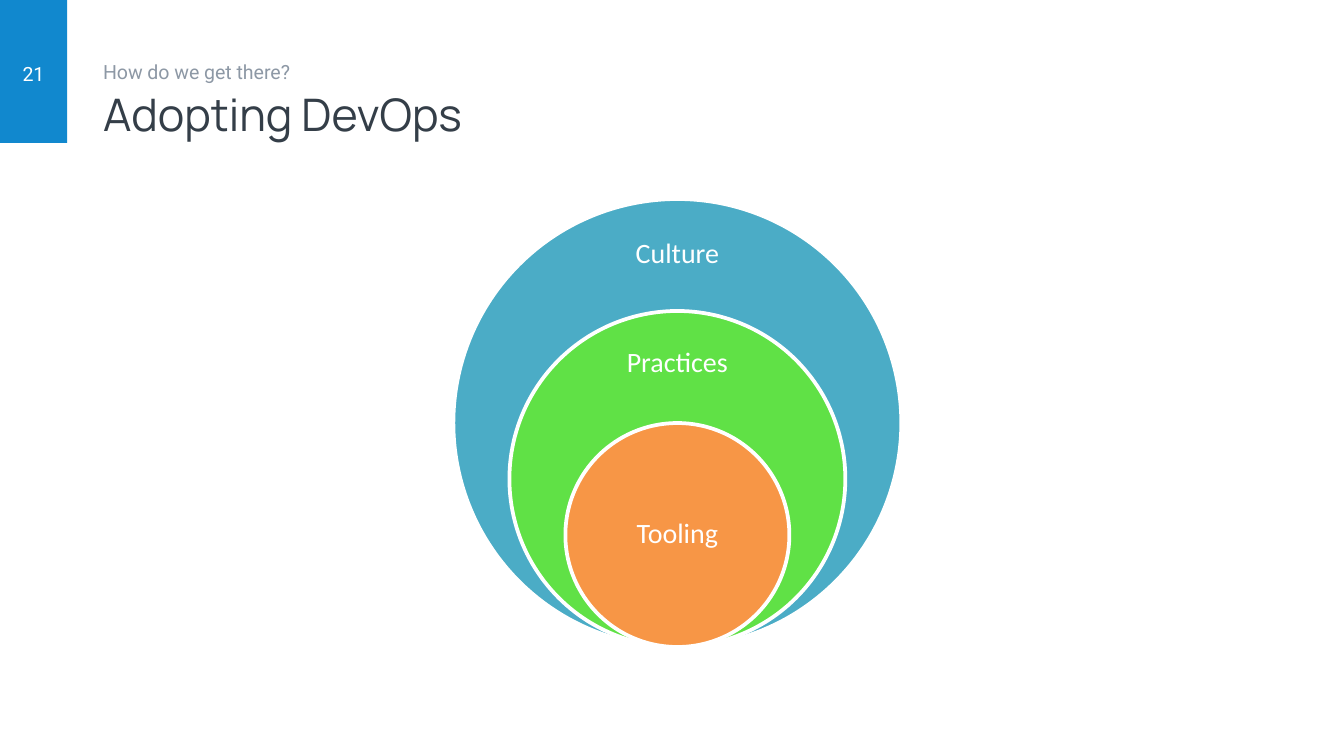
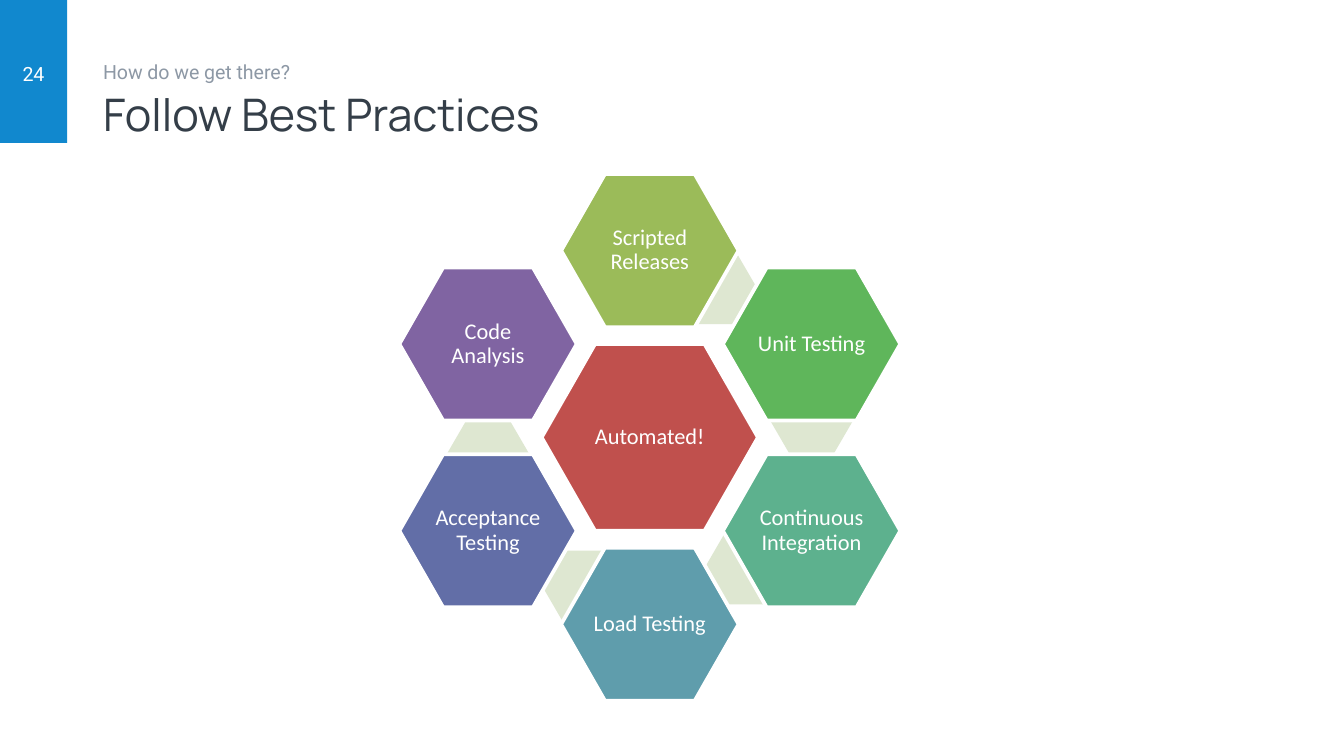
from dataclasses import dataclass
from math import cos, radians, sin

from pptx import Presentation
from pptx.dml.color import RGBColor
from pptx.enum.shapes import MSO_SHAPE
from pptx.enum.text import MSO_ANCHOR, MSO_AUTO_SIZE, PP_ALIGN
from pptx.util import Inches, Pt


@dataclass(frozen=True)
class Theme:
    band: str = "1188CE"
    title: str = "343E48"
    subtitle: str = "8D98A5"
    white: str = "FFFFFF"
    joint: str = "DEE7D1"
    hub: str = "C0504D"
    title_font: str = "Manrope"
    body_font: str = "Roboto"
    label_font: str = "Calibri"
    title_size: float = 24
    small_size: float = 10.5
    circle_size: float = 15
    hexagon_size: float = 12


T = Theme()
prs = Presentation()
prs.slide_width = Inches(10)
prs.slide_height = prs.slide_width * 9 // 16
U = prs.slide_width / 100  # all lengths are hundredths of the slide width


def draw(s, kind, cx, cy, w, h, fill, outlined=True):
    """Add a filled preset shape centred on (cx, cy)."""
    sp = s.shapes.add_shape(kind, *(round(v * U) for v in (cx - w / 2, cy - h / 2, w, h)))
    sp.shadow.inherit = False
    sp.fill.solid()
    sp.fill.fore_color.rgb = RGBColor.from_string(fill)
    if outlined:
        sp.line.color.rgb = RGBColor.from_string(T.white)
        sp.line.width = Pt(2)
    else:
        sp.line.fill.background()
    return sp


def write(sp, text, font, size, color, align=PP_ALIGN.CENTER, anchor=MSO_ANCHOR.MIDDLE, spacing=1.0):
    tf = sp.text_frame
    tf.text = text
    tf.word_wrap = True
    tf.auto_size = MSO_AUTO_SIZE.NONE
    tf.vertical_anchor = anchor
    p = tf.paragraphs[0]
    p.alignment = align
    p.line_spacing = spacing
    p.space_before = Pt(0)
    f = p.runs[0].font
    f.name, f.size, f.bold = font, Pt(size), False
    f.color.rgb = RGBColor.from_string(color)
    return tf


# Shared frame: band on the layout, then title, subtitle and number on each slide
layout = prs.slide_layouts.get_by_name("Section Header")
slides = []
for number, title in ((21, "Adopting DevOps"), (24, "Follow Best Practices")):
    s = prs.slides.add_slide(layout)
    slides.append(s)
    heading, subtitle = s.placeholders
    number_box = s.shapes.add_textbox(0, 0, 0, 0)
    for sp, box in ((heading, (6.67, 3.75, 83.3, 9.4)),
                    (subtitle, (6.67, 3.95, 55, 3.5)),
                    (number_box, (0, 4, 5, 3))):
        sp.left, sp.top, sp.width, sp.height = (round(v * U) for v in box)
    tf = write(heading, title, T.title_font, T.title_size, T.title, PP_ALIGN.LEFT)
    tf.paragraphs[0].runs[0].font._element.set("cap", "none")
    write(subtitle, "How do we get there?", T.body_font, T.small_size, T.subtitle,
          PP_ALIGN.LEFT, MSO_ANCHOR.TOP)
    write(number_box, str(number), T.body_font, T.small_size, T.white)

adopting, practices = slides
band = draw(adopting, MSO_SHAPE.RECTANGLE, 2.5, 5.32, 5, 10.64, T.band, outlined=False)
layout.shapes.element.append(band.element)

# Nested circles resting on a common bottom point
circle_x, circle_bottom, outer = 50.4, 48.14, 33.33
circles = (("Culture", "4BACC6", 18.95), ("Practices", "60E146", 27.05), ("Tooling", "F79646", 39.8))
for i, (label, color, label_y) in enumerate(circles):
    d = outer * (1 - i / 4)
    draw(adopting, MSO_SHAPE.OVAL, circle_x, circle_bottom - d / 2, d, d, color)
    box = (circle_x - 5.9, label_y - 2.5, 11.8, 5)
    sp = adopting.shapes.add_textbox(*(round(v * U) for v in box))
    write(sp, label, T.label_font, T.circle_size, T.white, spacing=0.9)

# Ring of hexagons around a hub, clockwise from the top, joined by pale hexagons
hub_x, hub_y, ring, joint_reach = 48.35, 32.55, 13.9, 5.75
hexagons = [("Automated!", T.hub, hub_x, hub_y, 16.1, 13.9, None)]
ring_labels = (
    ("Scripted Releases", "9BBB59"),
    ("Unit Testing", "5FB65B"),
    ("Continuous Integration", "5DB18E"),
    ("Load Testing", "5F9DAC"),
    ("Acceptance Testing", "626EA7"),
    ("Code Analysis", "8064A2"),
)
for i, (label, color) in enumerate(ring_labels):
    angle = radians(60 * i - 90)
    joint = angle + radians(120) if i < len(ring_labels) - 1 else None
    hexagons.append((label, color, hub_x + ring * cos(angle), hub_y + ring * sin(angle),
                     13.2, 11.4, joint))

for label, color, x, y, w, h, joint in hexagons:
    if joint is not None:
        sp = draw(practices, MSO_SHAPE.HEXAGON, x + joint_reach * cos(joint),
                  y + joint_reach * sin(joint), 6.1, 5.2, T.joint, outlined=False)
        sp.adjustments[0] = 0.29
    sp = draw(practices, MSO_SHAPE.HEXAGON, x, y, w, h, color)
    sp.adjustments[0] = 0.286
    tf = write(sp, label, T.label_font, T.hexagon_size, T.white, spacing=0.9)
    tf.margin_left = tf.margin_right = tf.margin_top = tf.margin_bottom = Inches(0.01)

prs.save("out.pptx")
